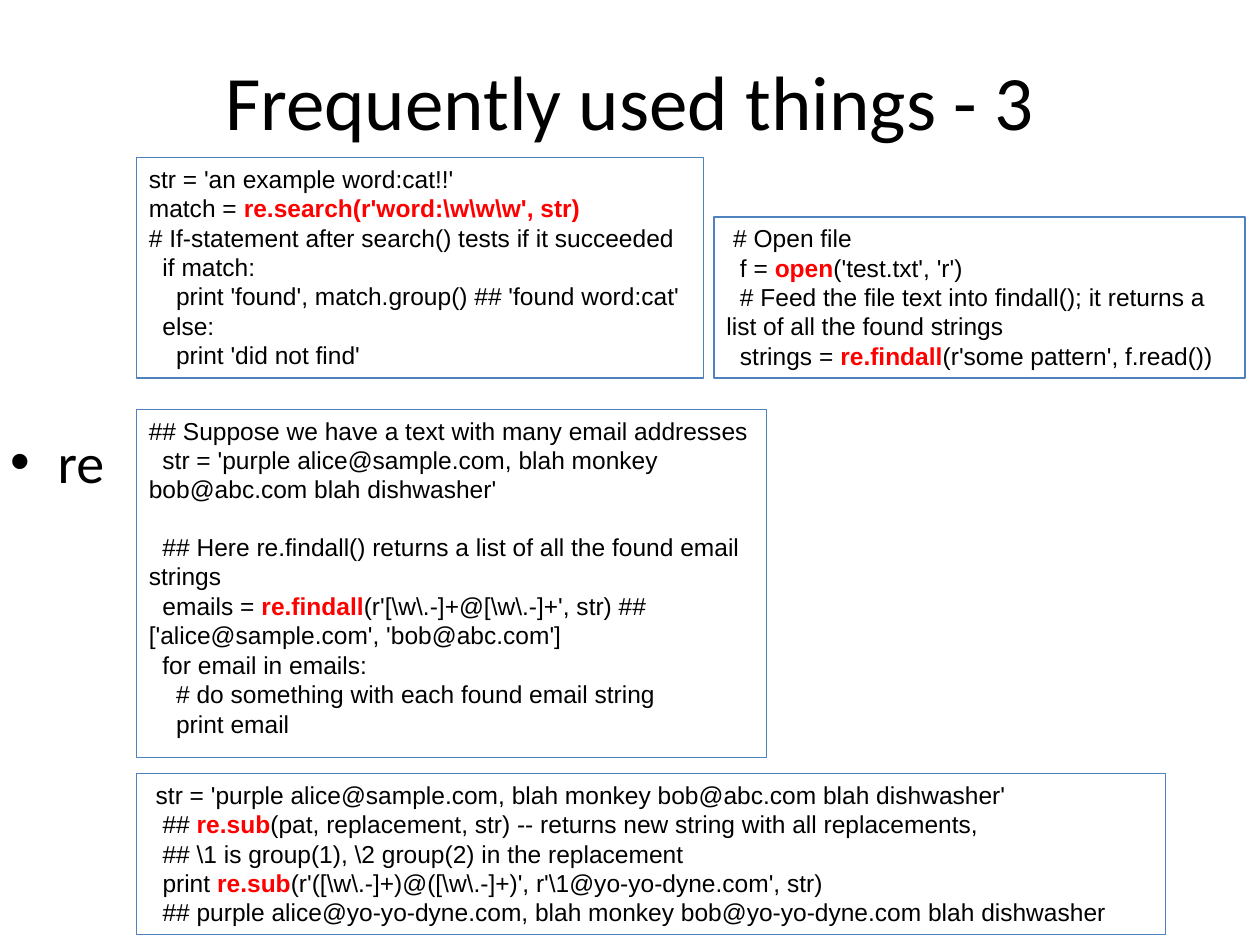
from pptx import Presentation
from pptx.dml.color import RGBColor
from pptx.enum.shapes import MSO_SHAPE
from pptx.enum.text import MSO_ANCHOR, MSO_AUTO_SIZE, PP_ALIGN
from pptx.oxml.ns import qn
from pptx.util import Pt
from lxml import etree

RECTANGLE = MSO_SHAPE.RECTANGLE
TOP, MIDDLE = MSO_ANCHOR.TOP, MSO_ANCHOR.MIDDLE
GROW = MSO_AUTO_SIZE.SHAPE_TO_FIT_TEXT
LEFT, CENTER = PP_ALIGN.LEFT, PP_ALIGN.CENTER
BLACK, RED, BLUE = "000000", "FF0000", "4F81BD"
SPACE_WIDTH = 3.89  # one space of 14 pt Arial
BLANK_LINE = 16.1


def color(value):
    return RGBColor.from_string(value)


def set_font(paragraph, name, size):
    paragraph.font.name = name
    paragraph.font.size = Pt(size)
    paragraph.font.color.rgb = color(BLACK)


prs = Presentation()
prs.slide_width, prs.slide_height = Pt(720), Pt(540)
slide = prs.slides.add_slide(prs.slide_layouts[5])

# Title
title = slide.shapes.title
title.left, title.top, title.width, title.height = Pt(36), Pt(12), Pt(648), Pt(90)
title.text_frame.text = "Frequently used things - 3"
title.text_frame.vertical_anchor = MIDDLE
heading = title.text_frame.paragraphs[0]
heading.alignment = CENTER
set_font(heading, "Calibri", 44)

# Module name with a bullet
module = slide.shapes.add_textbox(Pt(-1.2), Pt(240.5), Pt(108), Pt(90))
module.text_frame.word_wrap = True
module_name = module.text_frame.paragraphs[0]
module_name.text = "re"
set_font(module_name, "Calibri", 32)
bullet_props = module_name._p.get_or_add_pPr()
bullet_props.set("marL", str(Pt(27)))
bullet_props.set("indent", str(Pt(-27)))
etree.SubElement(bullet_props, qn("a:buFont")).set("typeface", "Arial")
etree.SubElement(bullet_props, qn("a:buChar")).set("char", "•")

# Code samples: place, then lines as (indent in spaces, space before, text);
# text between bars is highlighted
samples = [
    ((78, 90, 324, 126), [
        (0, 0, "str = 'an example word:cat!!'"),
        (0, 0, r"match = |re.search(r'word:\w\w\w', str)|"),
        (0, 0, "# If-statement after search() tests if it succeeded"),
        (2, 0, "if match:"),
        (4, 0, "print 'found', match.group() ## 'found word:cat'"),
        (2, 0, "else:"),
        (4, 0, "print 'did not find'"),
    ]),
    ((78, 234, 360, 199), [
        (0, 0, "## Suppose we have a text with many email addresses"),
        (2, 0, "str = 'purple alice@sample.com, blah monkey bob@abc.com blah dishwasher'"),
        (2, BLANK_LINE, "## Here re.findall() returns a list of all the found email strings"),
        (2, 0, r"emails = |re.findall|(r'[\w\.-]+@[\w\.-]+', str) ## "
               "['alice@sample.com', 'bob@abc.com']"),
        (2, 0, "for email in emails:"),
        (4, 0, "# do something with each found email string"),
        (4, 0, "print email"),
    ]),
    ((408, 124, 303.5, 92), [
        (1, 0, "# Open file"),
        (2, 0, "f = |open|('test.txt', 'r')"),
        (2, 0, "# Feed the file text into findall(); it returns a list of all the found strings"),
        (2, 0, "strings = |re.findall|(r'some pattern', f.read())"),
    ]),
    ((78, 442, 588, 92), [
        (1, 0, "str = 'purple alice@sample.com, blah monkey bob@abc.com blah dishwasher'"),
        (2, 0, "## |re.sub|(pat, replacement, str) -- returns new string with all replacements,"),
        (2, 0, r"## \1 is group(1), \2 group(2) in the replacement"),
        (2, 0, r"print |re.sub|(r'([\w\.-]+)@([\w\.-]+)', r'\1@yo-yo-dyne.com', str)"),
        (2, 0, "## purple alice@yo-yo-dyne.com, blah monkey bob@yo-yo-dyne.com blah dishwasher"),
    ]),
]
for place, lines in samples:
    sample = slide.shapes.add_shape(RECTANGLE, *[Pt(length) for length in place])
    sample.shadow.inherit = False
    sample.fill.background()
    sample.line.color.rgb = color(BLUE)
    sample.line.width = Pt(0.75)
    code = sample.text_frame
    code.word_wrap = True
    code.auto_size = GROW
    code.vertical_anchor = TOP
    for number, (spaces, before, text) in enumerate(lines):
        line = code.add_paragraph() if number else code.paragraphs[0]
        line.alignment = LEFT
        line.space_before = Pt(before)
        line._p.get_or_add_pPr().set("indent", str(Pt(spaces * SPACE_WIDTH)))
        set_font(line, "Arial", 14)
        for position, part in enumerate(text.split("|")):
            if part:
                run = line.add_run()
                run.text = part
                if position % 2:
                    run.font.bold = True
                    run.font.color.rgb = color(RED)

prs.save("out.pptx")
